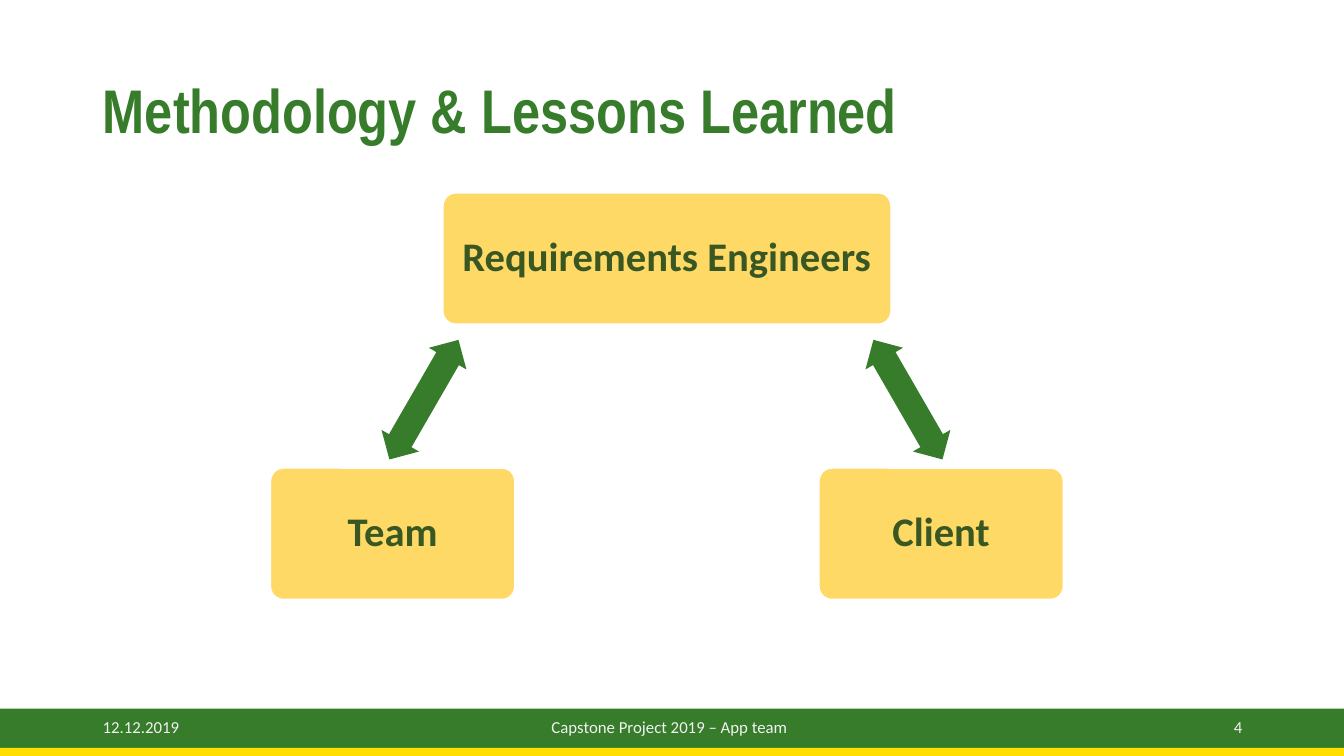
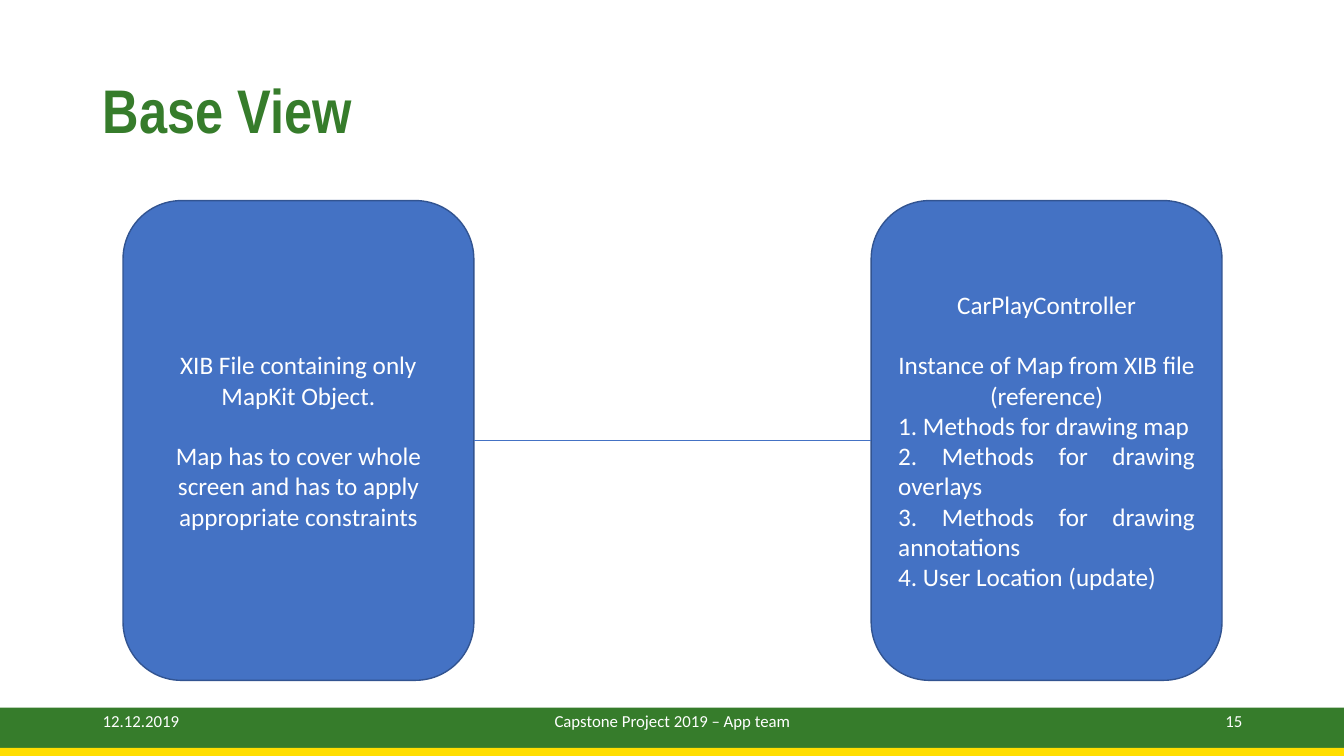
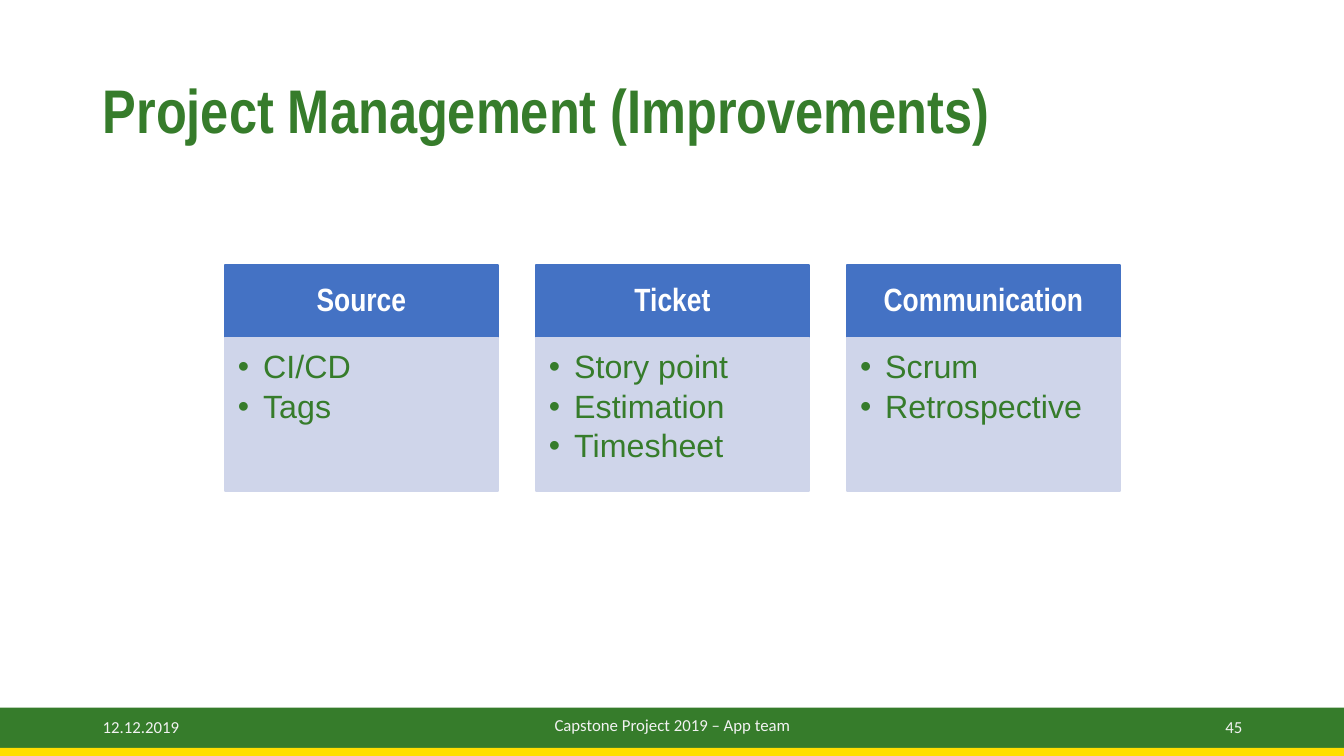
from lxml import etree
from pptx import Presentation
from pptx import util as u
from pptx.dml.color import RGBColor
from pptx.enum import shapes, text
from pptx.oxml.ns import qn

WIDE, HIGH = 13.33, 7.5
HUES = {
    "green": "367C2B", "yellow": "FFDE00", "amber": "FFD966", "moss": "385723",
    "blue": "4472C4", "navy": "325491", "pale": "CFD5EA",
    "white": "FFFFFF", "mist": "F2F2F2",
}
KINDS = shapes.MSO_SHAPE
SIDES = text.PP_ALIGN
ANCHORS = text.MSO_ANCHOR


def hue(name):
    return RGBColor.from_string(HUES[name])


def write(frame, lines, size=18, font="Calibri", color="white", bold=False,
          align=SIDES.LEFT, anchor=ANCHORS.MIDDLE, inset=(0.1, 0.05, 0.1, 0.05),
          space=None, before=0, after=0, bullet=None):
    """Fill a frame; a line is a text or a (text, own format) pair."""
    frame.word_wrap = True
    frame.auto_size = text.MSO_AUTO_SIZE.NONE
    frame.vertical_anchor = anchor
    (frame.margin_left, frame.margin_top,
     frame.margin_right, frame.margin_bottom) = map(u.Inches, inset)
    for i, line in enumerate(lines):
        words, own = (line, {}) if isinstance(line, str) else line
        para = frame.paragraphs[0] if i == 0 else frame.add_paragraph()
        para.alignment = own.get("align", align)
        para.space_before = u.Pt(own.get("before", before))
        para.space_after = u.Pt(after)
        if space:
            para.line_spacing = space
        if bullet:
            props = para._p.get_or_add_pPr()
            props.set("marL", str(u.Inches(0.25)))
            props.set("indent", str(-u.Inches(0.25)))
            etree.SubElement(props, qn("a:buFont")).set("typeface", "Arial")
            etree.SubElement(props, qn("a:buChar")).set("char", bullet)
        run = para.add_run()
        run.text = words
        run.font.size, run.font.name, run.font.bold = u.Pt(size), font, bold
        run.font.color.rgb = hue(color)


class Deck:
    """Holds the style and the current slide."""

    def __init__(self):
        self.show = Presentation()
        self.show.slide_width = u.Inches(WIDE)
        self.show.slide_height = u.Inches(HIGH)
        self.slide = None

    def page(self, title, number, top=7.01, mid=(4.42, 7.01), band=7.02, color="mist"):
        """Start a slide with its title, bands and footer."""
        self.slide = self.show.slides.add_slide(self.show.slide_layouts[5])
        head = self.slide.shapes.title
        head.left, head.top, head.width, head.height = map(u.Inches, (0.92, 0.4, 11.5, 1.45))
        write(head.text_frame, [title], size=44, font="Arial Narrow",
              color="green", bold=True, space=0.9)
        self.box((0, band, WIDE, 0.4), "green")
        self.box((0, 7.42, WIDE, 0.08), "yellow")
        for words, left, y, width, align in (
                ("12.12.2019", 0.92, top, 3, SIDES.LEFT),
                ("Capstone Project 2019 – App team", *mid, 4.5, SIDES.CENTER),
                (number, 9.42, top, 3, SIDES.RIGHT)):
            self.label(words, (left, y, width, 0.4), size=12, color=color, align=align)

    def label(self, words, at, **style):
        write(self.slide.shapes.add_textbox(*map(u.Inches, at)).text_frame, [words], **style)

    def box(self, at, fill, line=None, weight=1, kind=KINDS.RECTANGLE,
            adjust=(), turn=0, lines=(), **style):
        shape = self.slide.shapes.add_shape(kind, *map(u.Inches, at))
        shape.shadow.inherit = False
        shape.rotation = turn
        for i, value in enumerate(adjust):
            shape.adjustments[i] = value
        shape.fill.solid()
        shape.fill.fore_color.rgb = hue(fill)
        if line:
            shape.line.color.rgb = hue(line)
            shape.line.width = u.Pt(weight)
        else:
            shape.line.fill.background()
        if lines:
            write(shape.text_frame, lines, **style)
        return shape

    def link(self, start, end, color, weight):
        """Join the right side of one box to the left side of another."""
        line = self.slide.shapes.add_connector(shapes.MSO_CONNECTOR.STRAIGHT, 0, 0, 0, 0)
        line.begin_connect(start, 3)
        line.end_connect(end, 1)
        line.line.color.rgb = hue(color)
        line.line.width = u.Pt(weight)
        etree.SubElement(line._element.spPr, qn("a:effectLst"))


def roles(deck):
    deck.page("Methodology & Lessons Learned", "4", mid=(4.39, 7.01), band=7.03)
    # Roles
    for name, left, top, width in (("Requirements Engineers", 4.39, 1.91, 4.45),
                                   ("Client", 8.12, 4.64, 2.43),
                                   ("Team", 2.68, 4.64, 2.43)):
        deck.box((left, top, width, 1.31), "amber", "white", 1.5,
                 KINDS.ROUNDED_RECTANGLE, (0.1,), lines=[name], size=29,
                 color="moss", bold=True, align=SIDES.CENTER, space=0.9,
                 inset=(0.1,) * 4)
    # Two-way arrows
    for left, turn in ((8.32, 60), (3.52, 300)):
        deck.box((left, 3.75, 1.37, 0.43), "green", kind=KINDS.LEFT_RIGHT_ARROW,
                 adjust=(0.6, 0.5), turn=turn)


def view(deck):
    deck.page("Base View", "15", top=6.95, mid=(4.42, 6.95), color="white")
    # Cards; the second block of each stands one line lower
    gap = {"before": 21.6}
    steps = ("Methods for drawing map", "Methods for drawing overlays",
             "Methods for drawing annotations", "User Location (update)")
    file = ["XIB File containing only MapKit Object.",
            ("Map has to cover whole screen and has to apply appropriate constraints", gap)]
    control = ["CarPlayController", ("Instance of Map from XIB file (reference)", gap)]
    control += [(f"{i}. {step}", {"align": SIDES.JUSTIFY}) for i, step in enumerate(steps, 1)]
    cards = [deck.box((left, 1.99, 3.48, 4.76), "blue", "navy",
                      kind=KINDS.ROUNDED_RECTANGLE, lines=lines, align=SIDES.CENTER)
             for left, lines in ((1.22, file), (8.64, control))]
    deck.link(*cards, "blue", 0.5)


def plans(deck):
    deck.page("Project Management (Improvements)", "45", mid=(4.42, 6.99))
    # Columns, spread evenly over the span
    columns = {
        "Source": ["CI/CD", "Tags"],
        "Ticket": ["Story point", "Estimation", "Timesheet"],
        "Communication": ["Scrum", "Retrospective"],
    }
    span, width = 8.88, 2.71
    step = (span - width) / (len(columns) - 1)
    for i, (name, items) in enumerate(columns.items()):
        left = 2.23 + i * step
        deck.box((left, 2.63, width, 0.72), "blue", "blue", lines=[name], size=23,
                 font="Arial Narrow", bold=True, align=SIDES.CENTER, space=0.9,
                 inset=(0.18, 0.1, 0.18, 0.1))
        deck.box((left, 3.35, width, 1.52), "pale", "pale", lines=items,
                 size=23, font="Arial", color="green", anchor=ANCHORS.TOP, space=0.9,
                 after=3.5, bullet="•", inset=(0.13, 0.13, 0.18, 0.2))


def main():
    deck = Deck()
    for build in (roles, view, plans):
        build(deck)
    deck.show.save("out.pptx")


if __name__ == "__main__":
    main()
